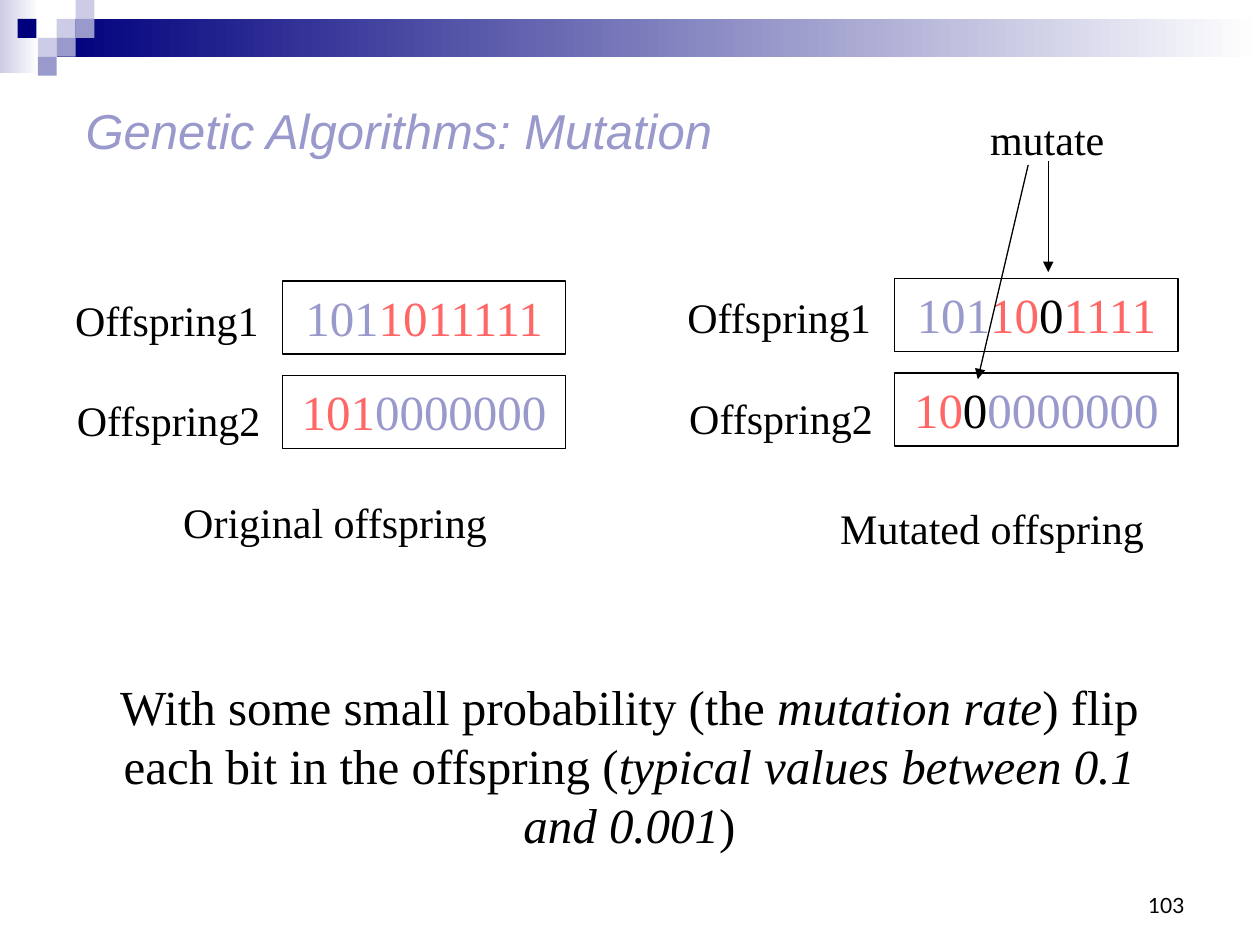
"""Build the slide on mutation in genetic algorithms."""
from dataclasses import dataclass

from lxml import etree
from pptx import Presentation
from pptx.dml.color import RGBColor
from pptx.enum.shapes import MSO_CONNECTOR, MSO_SHAPE
from pptx.enum.text import MSO_ANCHOR, PP_ALIGN
from pptx.oxml.ns import qn
from pptx.util import Emu, Inches, Pt

RECT, STRAIGHT = MSO_SHAPE.RECTANGLE, MSO_CONNECTOR.STRAIGHT
LEFT, CENTER, RIGHT = PP_ALIGN.LEFT, PP_ALIGN.CENTER, PP_ALIGN.RIGHT
TOP, MIDDLE, BOTTOM = MSO_ANCHOR.TOP, MSO_ANCHOR.MIDDLE, MSO_ANCHOR.BOTTOM
COLORS = {"navy": "00007D", "blue": "9999CC", "pale": "CCCCE6",
          "red": "FF6666", "black": "000000", "white": "FFFFFF"}
SERIF = "Times New Roman"
COLS, ROWS = 100, 75
TILE = 1.5


@dataclass
class Box:
    """Position and size in grid columns and rows."""
    col: float
    row: float
    cols: float
    rows: float


@dataclass
class Run:
    """A piece of text with its colour and slant."""
    text: str
    color: str = "black"
    italic: bool = False


@dataclass
class Panel:
    """A pair of offspring bit strings with a caption."""
    col: float
    row: float
    genes: list[list[Run]]
    caption: str
    caption_box: Box
    caption_align: PP_ALIGN


PANELS = [
    Panel(3.7, 22.3,
          [[Run("101", "blue"), Run("1011111", "red")],
           [Run("101", "red"), Run("0000000", "blue")]],
          "Original offspring", Box(10.3, 38.9, 32.6, 5), CENTER),
    Panel(52.3, 22.1,
          [[Run("101", "blue"), Run("10", "red"), Run("0"), Run("1111", "red")],
           [Run("10", "red"), Run("0"), Run("0000000", "blue")]],
          "Mutated offspring", Box(65.7, 39.4, 27.5, 5), LEFT),
]
TILES = [(3, 1, "pale"), (4, 0, "pale"), (4, 1, "blue"), (2, 2, "pale"),
         (0.93, 1, "navy"), (3, 2, "blue"), (2, 3, "blue")]
ARROWS = [((83.2, 12.8), (83.2, 21.6)), ((81.6, 13.1), (77.6, 30.1))]
RULE = [Run("With some small probability (the "), Run("mutation rate", italic=True),
        Run(") flip each bit in the offspring ("),
        Run("typical values between 0.1 and 0.001", italic=True), Run(")")]

prs = Presentation()
prs.slide_width, prs.slide_height = Inches(10), Inches(7.5)
s = prs.slides.add_slide(prs.slide_layouts[5])


def rgb(name: str) -> RGBColor:
    """Look up a named colour."""
    return RGBColor.from_string(COLORS[name])


def point(col: float, row: float) -> tuple[Emu, Emu]:
    """Turn grid units into slide lengths."""
    return Emu(round(prs.slide_width * col / COLS)), Emu(round(prs.slide_height * row / ROWS))


def place(box: Box) -> tuple[Emu, Emu, Emu, Emu]:
    """Return left, top, width and height of a box."""
    return *point(box.col, box.row), *point(box.cols, box.rows)


def write(sp, runs: list[Run], *, size: float = 24, font: str = SERIF,
          align: PP_ALIGN = LEFT, anchor: MSO_ANCHOR = TOP) -> None:
    """Fill a shape with one paragraph of formatted runs."""
    tf = sp.text_frame
    tf.word_wrap, tf.vertical_anchor = True, anchor
    p = tf.paragraphs[0]
    p.alignment = align
    for run in runs:
        r = p.add_run()
        r.text = run.text
        r.font.name, r.font.size = font, Pt(size)
        r.font.bold, r.font.italic = False, run.italic
        r.font.color.rgb = rgb(run.color)


def add_text(box: Box, runs: list[Run], **style) -> None:
    """Add a text box."""
    write(s.shapes.add_textbox(*place(box)), runs, **style)


def add_rect(box: Box, fill: str | None = None, fade: bool = False):
    """Add a rectangle: outlined, plain, or fading to white."""
    sp = s.shapes.add_shape(RECT, *place(box))
    sp.shadow.inherit = False
    if fill is None:
        sp.fill.background()
        sp.line.color.rgb, sp.line.width = rgb("black"), Pt(0.75)
        return sp
    sp.line.fill.background()
    if fade:
        sp.fill.gradient()
        sp.fill.gradient_angle = 0
        for stop, name, pos in zip(sp.fill.gradient_stops, (fill, "white"), (0, 1)):
            stop.color.rgb, stop.position = rgb(name), pos
    else:
        sp.fill.solid()
        sp.fill.fore_color.rgb = rgb(fill)
    return sp


def add_arrow(start: tuple[float, float], end: tuple[float, float]) -> None:
    """Add a thin black arrow."""
    c = s.shapes.add_connector(STRAIGHT, *point(*start), *point(*end))
    c.line.color.rgb, c.line.width = rgb("black"), Pt(0.75)
    etree.SubElement(c.line._get_or_add_ln(), qn("a:tailEnd"), type="triangle")
    etree.SubElement(c._element.spPr, qn("a:effectLst"))


def add_panel(panel: Panel) -> None:
    """Add the labelled bit strings and their caption."""
    for i, gene in enumerate(panel.genes):
        sp = add_rect(Box(panel.col + 18.7, panel.row + 7.5 * i, 22.5, 5.8))
        write(sp, gene, size=28, align=CENTER)
        add_text(Box(panel.col + 0.15 * i, panel.row + 0.55 + 8 * i, 17.8, 5),
                 [Run(f"Offspring{i + 1}")], align=RIGHT)
    add_text(panel.caption_box, [Run(panel.caption)], align=panel.caption_align)


def main() -> None:
    """Draw the slide and save it."""
    add_rect(Box(0, 0, 3.1, 5.8), "pale", fade=True)
    add_rect(Box(4.5, 1.5, 95.5, 3), "navy", fade=True)
    for col, row, color in TILES:
        add_rect(Box(col * TILE, row * TILE, TILE, TILE), color)
    title = s.shapes.title
    title.left, title.top, title.width, title.height = place(Box(5.8, 2.3, 85.2, 16))
    write(title, [Run("Genetic Algorithms: Mutation", "blue", True)],
          size=28, font="Arial", anchor=MIDDLE)
    for panel in PANELS:
        add_panel(panel)
    add_text(Box(77.6, 8.5, 12.6, 5), [Run("mutate")])
    for start, end in ARROWS:
        add_arrow(start, end)
    add_text(Box(8.2, 53.2, 83.5, 15), RULE, size=28, align=CENTER)
    add_text(Box(71.7, 68.3, 23.3, 5), [Run("103")], size=12, font="Lato",
             align=RIGHT, anchor=BOTTOM)
    prs.save("out.pptx")


if __name__ == "__main__":
    main()
